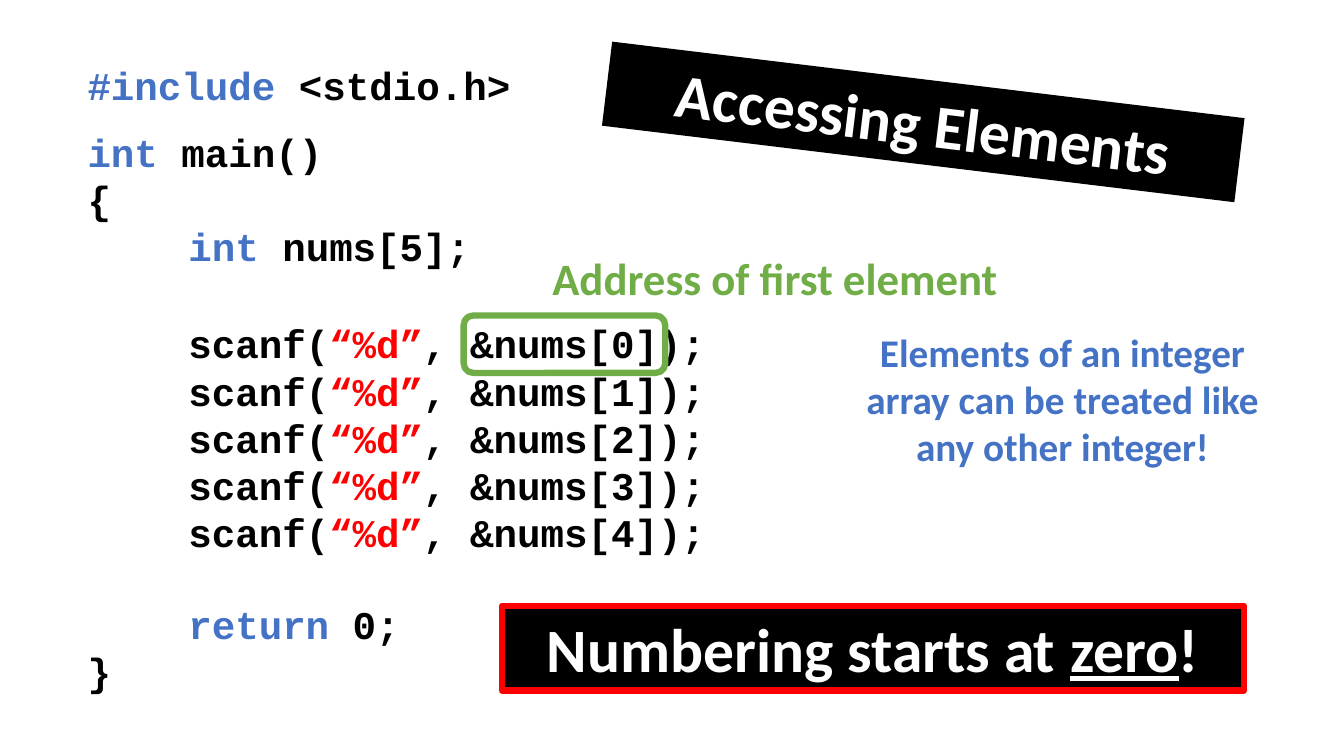
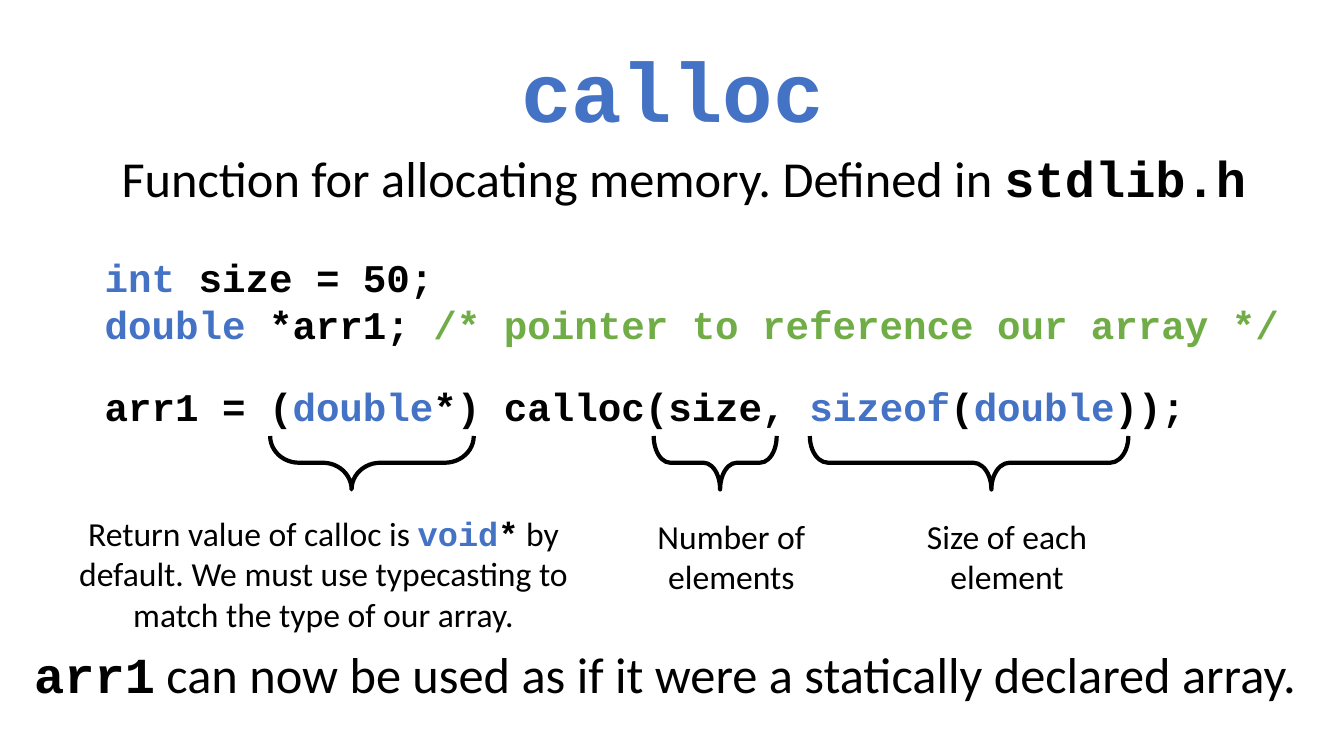
"""Build two slides on C arrays: accessing elements and calloc."""
from pptx import Presentation
from pptx.dml.color import RGBColor
from pptx.enum.shapes import MSO_SHAPE
from pptx.enum.text import MSO_ANCHOR, PP_ALIGN
from pptx.util import Inches, Pt

RECT, ROUND, BRACE = MSO_SHAPE.RECTANGLE, MSO_SHAPE.ROUNDED_RECTANGLE, MSO_SHAPE.LEFT_BRACE
LEFT, MID = PP_ALIGN.LEFT, PP_ALIGN.CENTER
TOP, CENTER = MSO_ANCHOR.TOP, MSO_ANCHOR.MIDDLE
WIDE, HIGH = Inches(13.333), Inches(7.5)

THEME = {
    "black": "000000", "white": "FFFFFF", "blue": "4472C4", "green": "70AD47", "red": "FF0000",
    "body": "Calibri", "mono": "Courier New",
    "title": 60, "head": 44, "lead": 36, "label": 32, "code": 28, "note": 24,
    "thick": 4.5, "thin": 3,
}
CODE = {"font": "mono", "size": "code", "bold": True}
LEAD = {"size": "lead", "align": MID}
NOTE = {"size": "note", "align": MID}
HEAD = {"size": "head", "color": "white", "bold": True, "align": MID, "fill": "black"}
KEY, STR, REM = {"color": "blue"}, {"color": "red"}, {"color": "green"}
MONO = {"font": "mono", "bold": True}

READS = [[("scanf(", {}), ("“%d”", STR), (f", &nums[{i}]);", {})] for i in range(5)]
MAIN = [
    [("#include", KEY), (" <stdio.h>", {})],
    [("int", KEY), (" main()", {})],
    [("{", {})],
    [("int ", KEY), ("nums[5];", {})],
    *READS,
    [("return", KEY), (" 0;", {})],
    [("}", {})],
]
ZERO = [[("Numbering starts at ", {}), ("zero", {"under": True}), ("!", {})]]
ADVICE = "Elements of an integer array can be treated like any other integer!"

ABOUT = [[("Function for allocating memory. Defined in ", {}), ("stdlib.h", MONO)]]
CALL = [
    [("int", KEY), (" size = 50;", {})],
    [("double", KEY), (" *arr1; ", {}), ("/* pointer to reference our array */", REM)],
    [("arr1 = (", {}), ("double", KEY), ("*) calloc(size, ", {}), ("sizeof", KEY),
     ("(", {}), ("double", KEY), ("));", {})],
]
CAST = [[("Return value of calloc is ", {}), ("void", MONO | KEY), ("*", MONO),
         (" by default. We must use typecasting to match the type of our array.", {})]]
LAST = [[("arr1", MONO), (" can now be used as if it were a statically declared array.", {})]]
PARTS = [
    (CAST, (3.6, 67.2, 40.95, 17.47), (20.1, 15.15), (0.54, 0.4)),
    ("Number of elements", (46.5, 67.6, 15.83, 12.13), (48.64, 9.15), (0.31, 0.54)),
    ("Size of each element", (67.28, 67.6, 15.3, 12.13), (60.26, 23.7), (0.34, 0.57)),
]
BRACE_TOP, BRACE_DEEP = 57.67, 7.07


def rgb(name):
    return RGBColor.from_string(THEME[name])


def place(box):
    """Turn percentages of the slide into lengths."""
    x, y, w, h = box
    return [round(v * side / 100) for v, side in ((x, WIDE), (y, HIGH), (w, WIDE), (h, HIGH))]


def form(slide, kind, spot, fill=None, line=None, width="thick"):
    shape = slide.shapes.add_shape(kind, *spot)
    shape.shadow.inherit = False
    if fill:
        shape.fill.solid()
        shape.fill.fore_color.rgb = rgb(fill)
    else:
        shape.fill.background()
    if line:
        shape.line.color.rgb = rgb(line)
        shape.line.width = Pt(THEME[width])
    else:
        shape.line.fill.background()
    return shape


def text(slide, box, lines, size="code", font="body", color="black", bold=False, align=LEFT,
         anchor=TOP, fill=None, line=None, turn=0, space=None, gaps={}, tabbed=()):
    """Write lines of (words, format) runs in a text box or a filled bar."""
    spot = place(box)
    shape = form(slide, RECT, spot, fill, line) if fill else slide.shapes.add_textbox(*spot)
    shape.rotation = turn
    frame = shape.text_frame
    frame.word_wrap = True
    frame.vertical_anchor = anchor
    if isinstance(lines, str):
        lines = [[(lines, {})]]
    for i, runs in enumerate(lines):
        para = frame.add_paragraph() if i else frame.paragraphs[0]
        para.alignment = align
        if space:
            para.line_spacing = space
        if i in gaps:
            para.space_before = Pt(gaps[i])
        if i in tabbed:
            para._p.get_or_add_pPr().set("marL", str(Inches(1)))
        for words, look in runs:
            run = para.add_run()
            run.text = words
            run.font.size = Pt(THEME[size])
            run.font.name = THEME[look.get("font", font)]
            run.font.bold = look.get("bold", bold)
            run.font.color.rgb = rgb(look.get("color", color))
            if look.get("under"):
                run.font.underline = True


def brace(slide, left, wide, bends):
    x, y, w, h = place((left, BRACE_TOP, wide, BRACE_DEEP))
    shape = form(slide, BRACE, (x + (w - h) // 2, y + (h - w) // 2, h, w),
                 line="black", width="thin")
    shape.rotation = 270
    for i, bend in enumerate(bends):
        shape.adjustments[i] = bend


def access(slide):
    text(slide, (5.78, 7.47, 65.7, 85.73), MAIN, **CODE,
         gaps={1: 14.4, 4: 35.7, 9: 32}, tabbed=range(3, 10))
    text(slide, (45, 10.53, 47.4, 11.2), "Accessing Elements", **HEAD, turn=6.9)
    text(slide, (63.45, 42.8, 31.2, 20.13), ADVICE, color="blue", bold=True, align=MID)
    text(slide, (37.35, 80.13, 55.2, 11.2), ZERO, **HEAD, line="red")
    form(slide, ROUND, place((34.5, 41.73, 15, 7.6)), line="green")
    text(slide, (37.35, 32.53, 40.65, 8.53), "Address of first element",
         size="label", color="green", bold=True, align=MID)


def calloc(slide):
    text(slide, (6.9, 2.93, 86.25, 19.33), "calloc", size="title", font="mono", color="blue",
         bold=True, align=MID, anchor=CENTER, space=0.9)
    text(slide, (3.6, 18.8, 94.58, 9.47), ABOUT, **LEAD)
    text(slide, (7.05, 32.8, 91.13, 24.67), CALL, **CODE, gaps={2: 25})
    for words, box, span, bends in PARTS:
        text(slide, box, words, **NOTE)
        brace(slide, *span, bends)
    text(slide, (0, 84.4, 99, 9.47), LAST, **LEAD)


def main():
    deck = Presentation()
    deck.slide_width, deck.slide_height = WIDE, HIGH
    for draw in (access, calloc):
        draw(deck.slides.add_slide(deck.slide_layouts[6]))
    deck.save("out.pptx")


if __name__ == "__main__":
    main()
